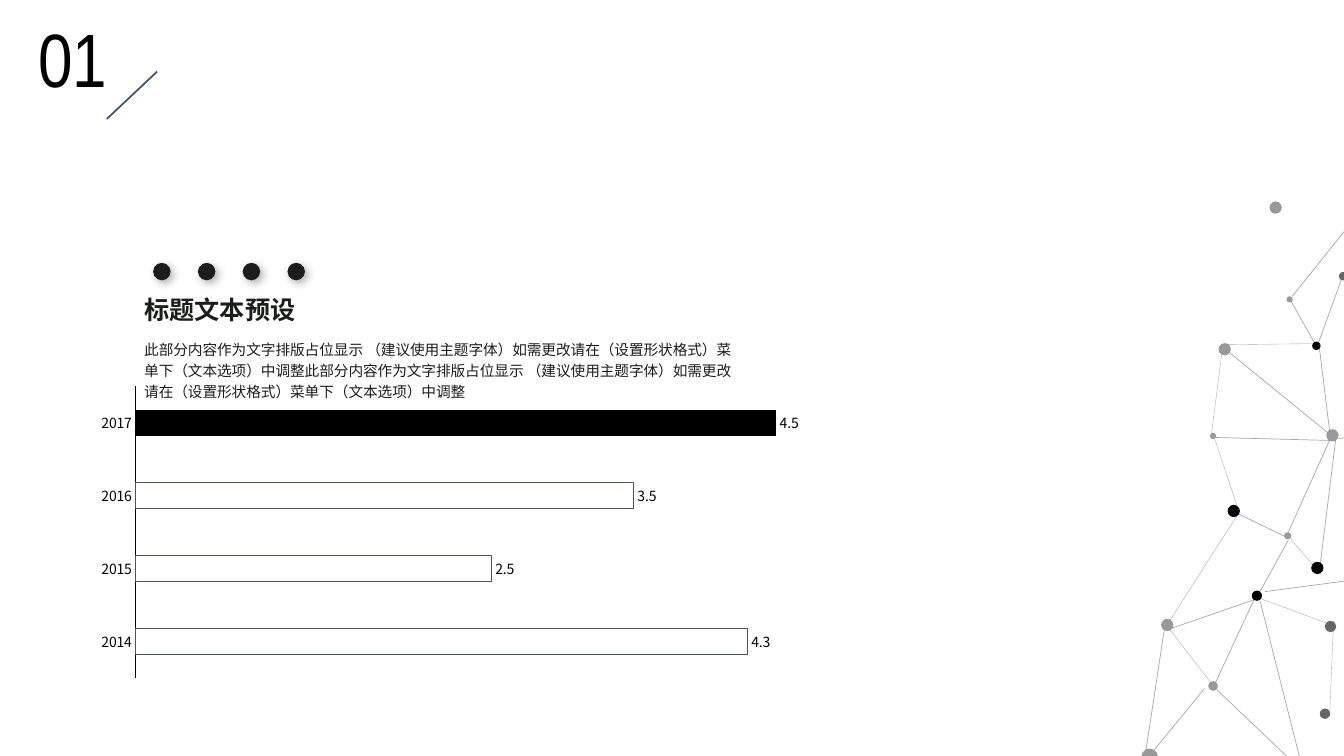
import pptx
import pptx.chart.data
import pptx.dml.color
import pptx.enum.chart
import pptx.enum.shapes
import pptx.enum.text
import pptx.oxml
import pptx.oxml.ns
import pptx.util

Pt = pptx.util.Pt
BLACK = pptx.dml.color.RGBColor(0x00, 0x00, 0x00)
INK = pptx.dml.color.RGBColor(0x1A, 0x1D, 0x1A)
DARK_GREY = pptx.dml.color.RGBColor(0x66, 0x66, 0x66)
LIGHT_GREY = pptx.dml.color.RGBColor(0x99, 0x99, 0x99)
SLATE = pptx.dml.color.RGBColor(0x44, 0x54, 0x6A)
BODY_FONT = "Noto Sans CJK SC"
NUMBER_FONT = "Arial Narrow"
NAMESPACE = pptx.oxml.ns.nsdecls("a")

deck = pptx.Presentation()
deck.slide_width = Pt(960)
deck.slide_height = Pt(540)
page = deck.slides.add_slide(deck.slide_layouts[6])


def add_dot(center_x, center_y, diameter, color):
    dot = page.shapes.add_shape(
        pptx.enum.shapes.MSO_SHAPE.OVAL,
        Pt(center_x - diameter / 2), Pt(center_y - diameter / 2),
        Pt(diameter), Pt(diameter),
    )
    dot.shadow.inherit = False
    dot.fill.solid()
    dot.fill.fore_color.rgb = color
    dot.line.fill.background()
    return dot


def add_line(start_x, start_y, end_x, end_y, width):
    line = page.shapes.add_connector(
        pptx.enum.shapes.MSO_CONNECTOR.STRAIGHT,
        Pt(start_x), Pt(start_y), Pt(end_x), Pt(end_y),
    )
    line.line.color.rgb = SLATE
    line.line.width = Pt(width)
    line._element.spPr.append(pptx.oxml.parse_xml(f"<a:effectLst {NAMESPACE}/>"))
    return line


chart_data = pptx.chart.data.CategoryChartData()
chart_data.categories = ["2014", "2015", "2016", "2017"]
chart_data.add_series("Series 1", [4.3, 2.5, 3.5, 4.5])
chart = page.shapes.add_chart(
    pptx.enum.chart.XL_CHART_TYPE.BAR_CLUSTERED,
    Pt(27.4), Pt(257), Pt(584.6), Pt(230.4), chart_data,
).chart
chart.has_legend = False
chart.has_title = False
chart.font.name = BODY_FONT
chart.font.size = Pt(10)
chart.font.color.rgb = BLACK

category_axis = chart.category_axis
category_axis.major_tick_mark = pptx.enum.chart.XL_TICK_MARK.NONE
category_axis.format.line.color.rgb = BLACK
category_axis.format.line.width = Pt(0.75)
value_axis = chart.value_axis
value_axis.minimum_scale = 0
value_axis.maximum_scale = 5
value_axis.has_major_gridlines = False
value_axis.visible = False

plot = chart.plots[0]
plot.gap_width = 182
plot.vary_by_categories = False
plot.has_data_labels = True
labels = plot.data_labels
labels.show_value = True
labels.position = pptx.enum.chart.XL_LABEL_POSITION.OUTSIDE_END
labels.font.name = BODY_FONT
labels.font.size = Pt(10)
labels.font.color.rgb = BLACK
for index in range(4):
    bar = plot.series[0].points[index].format
    if index == 3:
        bar.fill.solid()
        bar.fill.fore_color.rgb = BLACK
        bar.line.fill.background()
    else:
        bar.fill.background()
        bar.line.color.rgb = SLATE
        bar.line.width = Pt(0.75)

plot_area = chart._chartSpace.chart.plotArea
for old_layout in plot_area.findall(pptx.oxml.ns.qn("c:layout")):
    plot_area.remove(old_layout)
plot_area.insert(0, pptx.oxml.parse_xml(
    f'<c:layout {pptx.oxml.ns.nsdecls("c")}><c:manualLayout>'
    '<c:layoutTarget val="inner"/><c:xMode val="edge"/><c:yMode val="edge"/>'
    '<c:x val="0.119"/><c:y val="0.082"/><c:w val="0.869"/><c:h val="0.905"/>'
    '</c:manualLayout></c:layout>'
))

network_dots = [
    (959.4, 197.3, 6, DARK_GREY), (911.2, 148.3, 8.8, LIGHT_GREY),
    (874.8, 249.5, 8.8, LIGHT_GREY), (881.3, 365, 8.8, BLACK),
    (866.5, 311.4, 4.3, LIGHT_GREY), (921.2, 213.8, 4.3, LIGHT_GREY),
    (941, 405.7, 8.8, BLACK), (951.8, 311, 8.8, LIGHT_GREY),
    (940.3, 247, 6, BLACK), (919.8, 382.7, 5, LIGHT_GREY),
    (950.4, 447.5, 8, DARK_GREY), (946.4, 509.8, 7.4, DARK_GREY),
    (833.8, 446.4, 8.8, LIGHT_GREY), (866.5, 490, 6.8, LIGHT_GREY),
    (821.2, 540.7, 12, LIGHT_GREY), (897.8, 425.5, 7.3, BLACK),
]
for center_x, center_y, diameter, color in network_dots:
    add_dot(center_x, center_y, diameter, color)

network_lines = {
    0.25: [
        (949.7, 511.9, 952.6, 443.5), (867.6, 313.2, 883.4, 360.7),
        (872.6, 253.4, 865.4, 309.6), (937.4, 245.5, 877, 246.2),
        (937.4, 403.2, 921.6, 384.5), (883.4, 368.6, 835.9, 442.8),
        (835.9, 450, 864.7, 487.4), (900.7, 427.7, 947.5, 445),
    ],
    0.5: [
        (831.6, 450, 818.6, 535.7), (837.4, 448.6, 895.7, 428.4),
        (943.2, 401.8, 954, 314.6), (920.2, 380.2, 949.7, 314.6),
        (941.8, 244.8, 958.3, 199.4), (923, 211.7, 963.4, 161.3),
        (878.4, 252, 948.2, 308.9), (956.2, 313.2, 997.2, 308.2),
        (963.4, 414.7, 903.6, 422.6), (900, 429.1, 931, 551.5),
        (868.3, 312.5, 949.7, 314.6), (884.9, 367.2, 917.3, 383),
        (942.5, 249.1, 949.7, 307.4), (922.3, 215.3, 938.9, 244.8),
        (920.2, 385.9, 900, 422.6), (860.4, 491.8, 824.4, 535.7),
        (931, 551.5, 869, 492.5), (895.7, 428.4, 868.3, 487.4),
    ],
}
for width, lines in network_lines.items():
    for ends in lines:
        line = add_line(*ends, width)
        line_color = line._element.spPr.find(".//" + pptx.oxml.ns.qn("a:srgbClr"))
        line_color.append(pptx.oxml.parse_xml(f'<a:alpha {NAMESPACE} val="50000"/>'))

for index in range(4):
    title_dot = add_dot(115.6 + 32 * index, 194, 12.5, INK)
    effects = title_dot._element.spPr.find(pptx.oxml.ns.qn("a:effectLst"))
    effects.append(pptx.oxml.parse_xml(
        f'<a:outerShdw {NAMESPACE} blurRad="{Pt(6)}" dist="{Pt(3)}" dir="2700000">'
        '<a:srgbClr val="404040"><a:alpha val="40000"/></a:srgbClr></a:outerShdw>'
    ))

add_line(112.3, 51.1, 76.3, 85, 1.25)

ANCHOR = pptx.enum.text.MSO_ANCHOR
ALIGN = pptx.enum.text.PP_ALIGN
texts = [
    ("01", (20.2, 5, 82, 72.7),
     {"word_wrap": True},
     {"alignment": ALIGN.JUSTIFY},
     {"name": NUMBER_FONT, "size": Pt(54)}, BLACK),
    ("此部分内容作为文字排版占位显示 （建议使用主题字体）如需更改请在（设置形状格式）菜单下（文本选项）中调整"
     "此部分内容作为文字排版占位显示 （建议使用主题字体）如需更改请在（设置形状格式）菜单下（文本选项）中调整",
     (103, 239, 423.4, 49),
     {"word_wrap": True, "vertical_anchor": ANCHOR.MIDDLE, "margin_left": 0,
      "margin_top": 0, "margin_right": 0, "margin_bottom": 0},
     {"line_spacing": 1.2},
     {"name": BODY_FONT, "size": Pt(10.5)}, INK),
    ("标题文本预设", (103, 210.2, 108.7, 32.4),
     {"word_wrap": False, "margin_left": 0, "margin_top": 0,
      "margin_right": 0, "margin_bottom": 0},
     {},
     {"name": BODY_FONT, "size": Pt(18), "bold": True}, INK),
]
for text, place, frame_format, para_format, font_format, color in texts:
    box = page.shapes.add_textbox(*[Pt(length) for length in place])
    para = box.text_frame.paragraphs[0]
    span = para.add_run()
    span.text = text
    for target, values in [(box.text_frame, frame_format), (para, para_format), (span.font, font_format)]:
        for name, value in values.items():
            setattr(target, name, value)
    span.font.color.rgb = color
    span._r.get_or_add_rPr().append(
        pptx.oxml.parse_xml(f'<a:ea {NAMESPACE} typeface="{font_format["name"]}"/>')
    )

deck.save("out.pptx")
